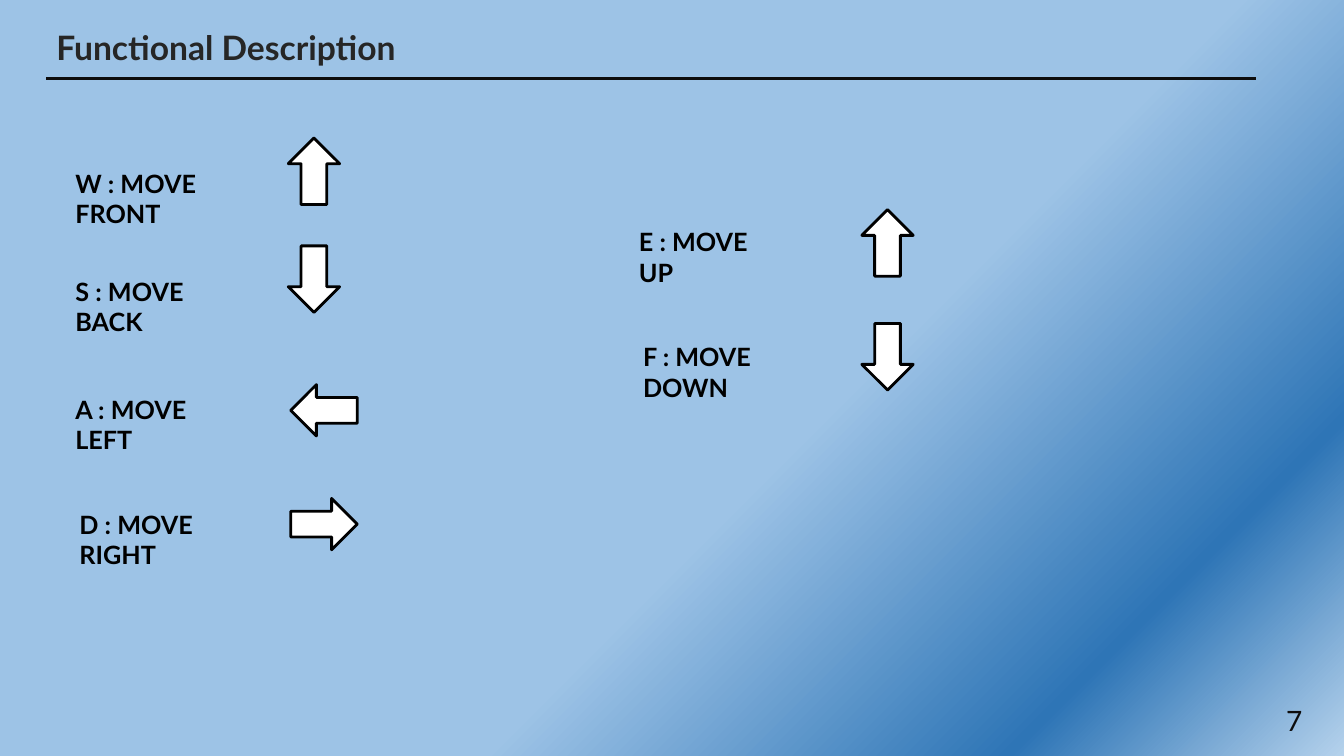
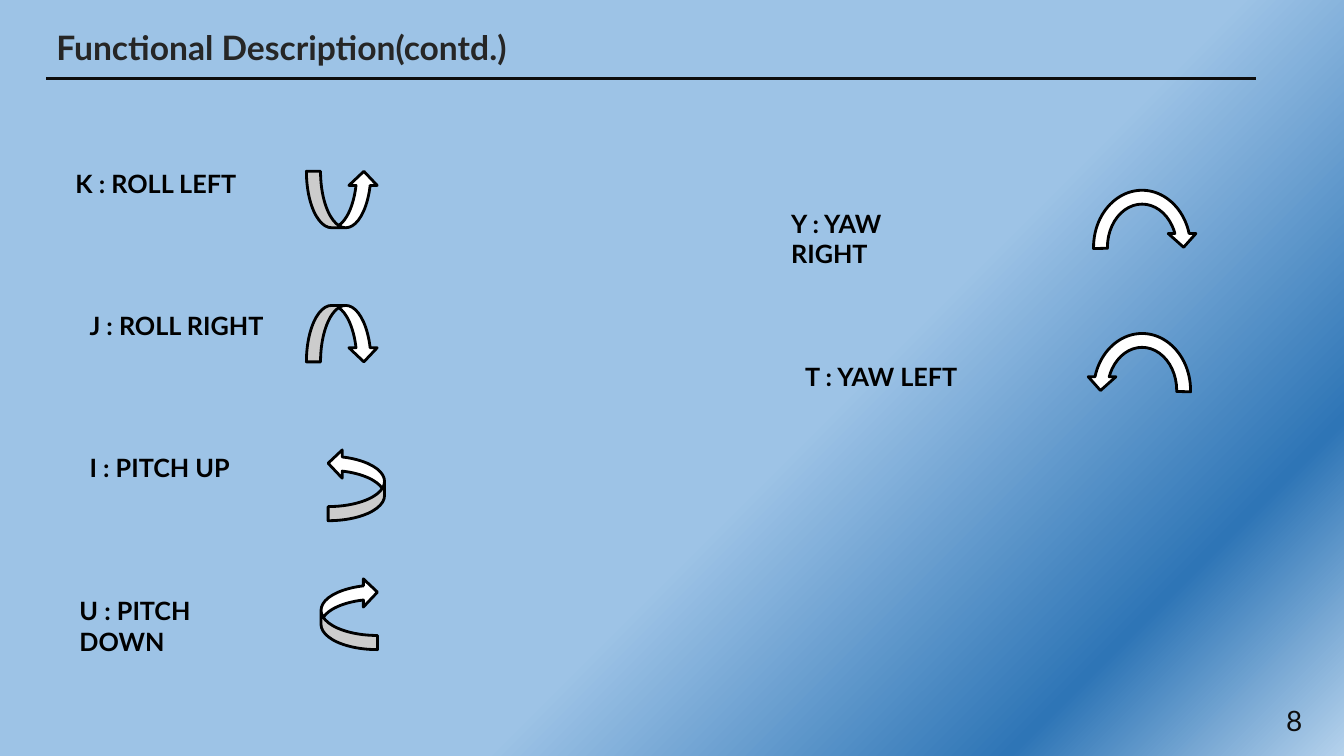
from pptx import Presentation
from pptx.dml.color import RGBColor as RGB
from pptx.enum.shapes import MSO_CONNECTOR as LINK, MSO_SHAPE as SHAPE
from pptx.enum.text import MSO_ANCHOR as ANCHOR, PP_ALIGN as ALIGN
from pptx.oxml.ns import qn
from pptx.oxml.xmlchemy import OxmlElement as Node
from pptx.util import Pt

COLORS = {"title": "262626", "rule": "0D0D0D", "text": "000000", "arrow": "FFFFFF"}
GRADIENT = [(59, "9DC3E6"), (84, "2E75B6"), (100, "B5D2EC"), (100, "CEE1F2")]
FONT = "Lato"
FIRST = 7
WIDE, SLIM = 144, 110  # label widths: one line, two lines

# arrow kind: preset, width, height, adjustments by index
KINDS = {
    "move": (SHAPE.UP_ARROW, 36.7, 47.5, {}),
    "turn": (SHAPE.CURVED_UP_ARROW, 51.1, 40.3, {}),
    "yaw": (SHAPE.CIRCULAR_ARROW, 79.2, 91.4, {3: 107.081}),
}

# each key: label, (left, top, width), arrow kind, (left, top), rotation, flip
SLIDES = [
    ("Functional Description", [
        ("W : MOVE FRONT", (46.8, 116.6, SLIM), "move", (205.9, 98.6), 0, ""),
        ("S : MOVE BACK", (46.8, 193.7, SLIM), "move", (205.9, 175.7), 0, "V"),
        ("A : MOVE LEFT", (46.8, 277.9, SLIM), "move", (213.1, 269.3), 270, ""),
        ("D : MOVE RIGHT", (49.7, 360, SLIM), "move", (213.1, 350.6), 90, ""),
        ("E : MOVE UP", (449.3, 158.4, SLIM), "move", (615.6, 149.8), 0, ""),
        ("F : MOVE DOWN", (452.2, 240.5, SLIM), "move", (615.6, 231.1), 180, ""),
    ]),
    ("Functional Description(contd.)", [
        ("K : ROLL LEFT", (46.8, 116.6, WIDE), "turn", (218.9, 122.4), 0, ""),
        ("J : ROLL RIGHT", (56.9, 218.2, WIDE), "turn", (218.9, 218.2), 0, "V"),
        ("I : PITCH UP", (56.9, 319.7, WIDE), "turn", (229, 326.2), 270, ""),
        ("U : PITCH DOWN", (49.7, 421.9, SLIM), "turn", (223.9, 418.3), 270, "V"),
        ("Y : YAW RIGHT", (558, 145.4, SLIM), "yaw", (776.2, 131), 0, ""),
        ("T : YAW LEFT", (568.1, 254.9, WIDE), "yaw", (776.2, 233.3), 0, "H"),
    ]),
]


def color(name):
    return RGB.from_string(COLORS[name])


def set_backdrop(master):
    master.background.fill.gradient()
    grad = next(master.element.iter(qn("a:gradFill")))
    stops = grad.find(qn("a:gsLst"))
    stops.clear()
    for place, tone in GRADIENT:
        stop, fill = Node("a:gs"), Node("a:srgbClr")
        stop.set("pos", str(place * 1000))
        fill.set("val", tone)
        stop.append(fill)
        stops.append(stop)
    grad.find(qn("a:lin")).set("ang", str(45 * 60000))


def add_text(slide, text, box, size, tone, bold=True,
             anchor=ANCHOR.MIDDLE, align=ALIGN.LEFT):
    frame = slide.shapes.add_textbox(*map(Pt, box)).text_frame
    frame.word_wrap = True
    frame.vertical_anchor = anchor
    para = frame.paragraphs[0]
    para.text = text
    para.alignment = align
    font = para.font
    font.name, font.size, font.bold = FONT, Pt(size), bold
    font.color.rgb = color(tone)
    return para


def add_frame(slide, title, number):
    """Add the title, its rule and the page number."""
    rule = slide.shapes.add_connector(
        LINK.STRAIGHT, Pt(33.1), Pt(56.2), Pt(897.1), Pt(56.2))
    rule.line.color.rgb = color("rule")
    rule.line.width = Pt(2)
    rule.element.spPr.append(Node("a:effectLst"))
    head = add_text(slide, title, (33.1, 20.9, 444, 28.8), 24, "title")
    head.line_spacing = 0.9
    add_text(slide, str(number), (721.4, 500.4, 216, 28.8), 20, "rule",
             bold=False, align=ALIGN.RIGHT)


def add_arrow(slide, kind, spot, turn, flip):
    preset, width, height, tweaks = KINDS[kind]
    arrow = slide.shapes.add_shape(preset, *map(Pt, (*spot, width, height)))
    arrow.shadow.inherit = False
    arrow.fill.solid()
    arrow.fill.fore_color.rgb = color("arrow")
    arrow.line.color.rgb = color("text")
    arrow.line.width = Pt(2)
    arrow.rotation = turn
    for index, value in tweaks.items():
        arrow.adjustments[index] = value
    if flip:
        arrow.element.spPr.find(qn("a:xfrm")).set("flip" + flip, "1")


def main():
    prs = Presentation()
    prs.slide_width, prs.slide_height = Pt(960), Pt(540)
    set_backdrop(prs.slide_master)
    for number, (title, keys) in enumerate(SLIDES, FIRST):
        slide = prs.slides.add_slide(prs.slide_layouts[6])
        add_frame(slide, title, number)
        for label, (left, top, width), kind, spot, turn, flip in keys:
            add_arrow(slide, kind, spot, turn, flip)
            add_text(slide, label, (left, top, width, 28.8), 18, "text",
                     anchor=ANCHOR.TOP)
    prs.save("out.pptx")


if __name__ == "__main__":
    main()
